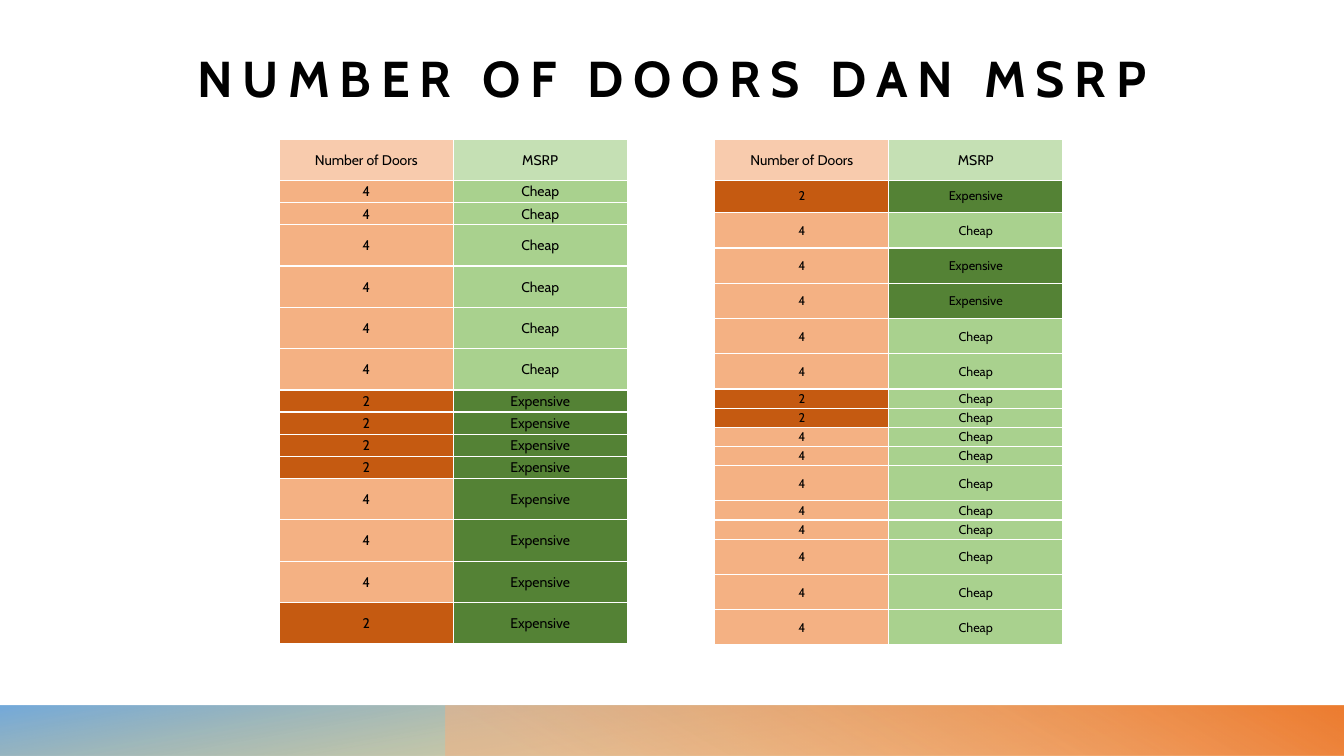
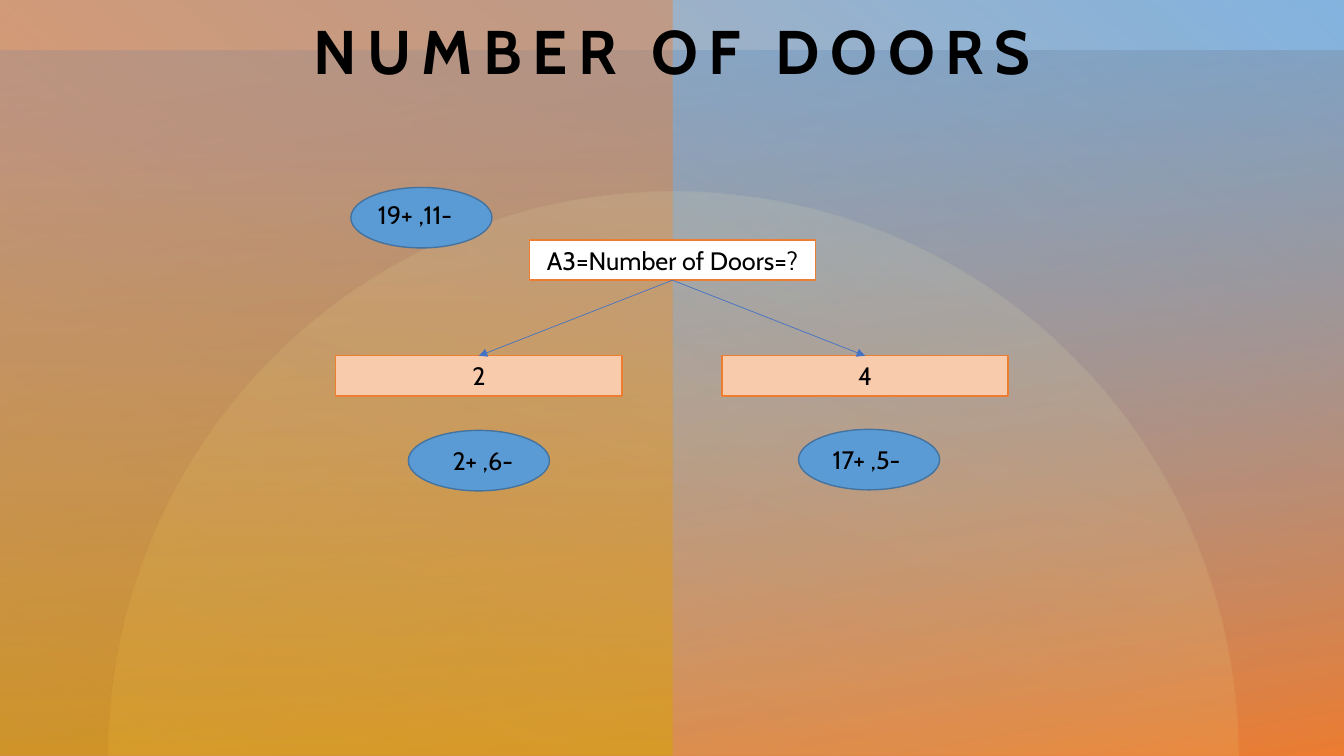
"""Build two slides on the number of doors: data tables and a decision split."""
import math
from lxml import etree
from pptx import Presentation
from pptx import util as u
from pptx.dml import color as dml
from pptx.enum import shapes, text
from pptx.oxml import ns

COLORS = {
    "black": "000000", "white": "FFFFFF", "gold": "CF9B00", "blue": "5B9BD5",
    "peach": "F4B183", "orange": "ED7D31", "pale_orange": "F8CBAD",
    "pale_green": "C5E0B4", "green": "A9D18E", "dark_orange": "C55A11",
    "dark_green": "548235", "yellow": "FFD149", "mint": "E2F0D9",
    "navy": "43739E", "arrow": "4472C4",
}
RGB = {name: dml.RGBColor.from_string(value) for name, value in COLORS.items()}
FONT = {"name": "Cabin", "bold": False}
GROWING = {"word_wrap": True, "vertical_anchor": text.MSO_ANCHOR.TOP,
           "auto_size": text.MSO_AUTO_SIZE.SHAPE_TO_FIT_TEXT}
WIDTH, HEIGHT = 13.33, 7.5


def write(frame, words, size, align=text.PP_ALIGN.CENTER, spacing=0, **font):
    """Put one formatted paragraph into a text frame."""
    paragraph = frame.paragraphs[0]
    paragraph.alignment = align
    run = paragraph.add_run()
    run.text = words
    for key, value in {**FONT, "size": u.Pt(size), **font}.items():
        setattr(run.font, key, value)
    run.font.color.rgb = RGB["black"]
    if spacing:
        run.font.element.set("spc", str(int(spacing * 100))) if hasattr(run.font, "element") else \
            frame.paragraphs[0].runs[0]._r.get_or_add_rPr().set("spc", str(int(spacing * 100)))


def shade(shape, angle, stops, rotation=0, flip=False):
    """Give a shape a translucent two-stop gradient and no outline."""
    shape.shadow.inherit = False
    shape.line.fill.background()
    shape.rotation = rotation
    if flip:
        shape.element.spPr.xfrm.set("flipH", "1")
    shape.fill.gradient()
    shape.fill.gradient_angle = 360 - angle
    for stop, (position, name, opacity) in zip(shape.fill.gradient_stops, stops):
        stop.position = position / 100
        stop.color.rgb = RGB[name]
    tints = list(shape.element.spPr.iter(ns.qn("a:srgbClr")))
    for tint, (position, name, opacity) in zip(tints, stops):
        etree.SubElement(tint, ns.qn("a:alpha"), val=str(opacity * 1000))


presentation = Presentation()
presentation.slide_width = u.Inches(WIDTH)
presentation.slide_height = u.Inches(HEIGHT)
layout = presentation.slide_layouts[5]

titles = [
    ("NUMBER OF DOORS DAN MSRP", (1.07, 0.3, 11.2, 0.77), 36, 7, text.MSO_ANCHOR.BOTTOM),
    ("NUMBER OF DOORS", (1.67, 0.02, 10, 0.95), 44, 7.5, text.MSO_ANCHOR.MIDDLE),
]
slides = []
for words, place, size, spacing, anchor in titles:
    slide = presentation.slides.add_slide(layout)
    title = slide.shapes.title
    title.left, title.top, title.width, title.height = map(u.Inches, place)
    frame = title.text_frame
    margins = dict.fromkeys(("margin_left", "margin_top", "margin_right", "margin_bottom"), 0)
    for key, value in {**margins, "vertical_anchor": anchor, "word_wrap": True}.items():
        setattr(frame, key, value)
    write(frame, words, size, spacing=spacing, bold=True)
    slides.append(slide)
table_slide, tree_slide = slides

bands = [
    (0, WIDTH, 100, [(14, "gold", 28), (100, "blue", 85)], 180),
    (4.42, 8.92, 240, [(9, "peach", 55), (99, "orange", 100)], 0),
]
for index, (left, width, angle, stops, rotation) in enumerate(bands):
    band = table_slide.shapes.add_shape(
        shapes.MSO_SHAPE.RECTANGLE, *map(u.Inches, (left, 7, width, 0.5)))
    shade(band, angle, stops, rotation, flip=True)
    layout.shapes.element.insert(2 + index, band.element)

header = ("Number of Doors", "MSRP", 0.41, 1)
tables = [
    (2.77, 1.38, 10, [
        header, ("4", "Cheap", 0.22, 2), ("4", "Cheap", 0.41, 4),
        ("2", "Expensive", 0.22, 4), ("4", "Expensive", 0.41, 3),
        ("2", "Expensive", 0.41, 1)]),
    (7.09, 1.76, 9, [
        ("2", "Expensive", 0.35, 1), ("4", "Cheap", 0.35, 1),
        ("4", "Expensive", 0.35, 2), ("4", "Cheap", 0.35, 2),
        ("2", "Cheap", 0.19, 2), ("4", "Cheap", 0.19, 2),
        ("4", "Cheap", 0.35, 1), ("4", "Cheap", 0.19, 2),
        ("4", "Cheap", 0.35, 3)]),
    (7.09, 1.38, 10, [header]),
]
cell_fills = {"Number of Doors": "pale_orange", "MSRP": "pale_green", "4": "peach",
              "2": "dark_orange", "Cheap": "green", "Expensive": "dark_green"}
cell_format = {"margin_left": u.Inches(0.01), "margin_right": u.Inches(0.01),
               "margin_top": u.Inches(0.01), "margin_bottom": 0,
               "vertical_anchor": text.MSO_ANCHOR.MIDDLE}
for left, top, size, groups in tables:
    rows = [group[:3] for group in groups for _ in range(group[3])]
    total = sum(row[2] for row in rows)
    table = table_slide.shapes.add_table(
        len(rows), 2, *map(u.Inches, (left, top, 3.45, total))).table
    table.first_row = table.horz_banding = False
    for row, (doors, price, height) in zip(table.rows, rows):
        row.height = u.Inches(height)
        for cell, words in zip(row.cells, (doors, price)):
            for key, value in cell_format.items():
                setattr(cell, key, value)
            cell.fill.solid()
            cell.fill.fore_color.rgb = RGB[cell_fills[words]]
            write(cell.text_frame, words, size)

title = tree_slide.shapes.title
cover = tree_slide.shapes.add_shape(
    shapes.MSO_SHAPE.RECTANGLE, 0, 0, u.Inches(WIDTH), u.Inches(HEIGHT))
cover.shadow.inherit = False
cover.fill.solid()
cover.fill.fore_color.rgb = RGB["white"]
cover.line.fill.background()

washes = [
    ((0, 0, WIDTH, HEIGHT), 230, [(0, "blue", 75), (100, "peach", 100)], True),
    ((0, 0.5, WIDTH, 7), 260, [(0, "blue", 37), (100, "orange", 100)], False),
    ((0, 0, 6.67, HEIGHT), 270, [(19, "orange", 41), (99, "gold", 56)], True),
]
for place, angle, stops, flip in washes:
    wash = tree_slide.shapes.add_shape(shapes.MSO_SHAPE.RECTANGLE, *map(u.Inches, place))
    shade(wash, angle, stops, 180, flip)

center, radius = 6.68, 5.6
arc = [(u.Inches(center - radius * math.cos(math.radians(degree))),
        u.Inches(HEIGHT - radius * math.sin(math.radians(degree))))
       for degree in range(0, 181, 2)]
builder = tree_slide.shapes.build_freeform(*arc[0])
builder.add_line_segments(arc[1:], close=True)
shade(builder.convert_to_shape(), 290, [(7, "yellow", 12), (100, "mint", 15)])
tree_slide.shapes.element.append(title.element)

boxes = []
for words, left, top, fill in [("A3=Number of Doors=?", 5.25, 2.38, "white"),
                               ("2", 3.33, 3.53, "pale_orange"),
                               ("4", 7.16, 3.53, "pale_orange")]:
    box = tree_slide.shapes.add_shape(
        shapes.MSO_SHAPE.RECTANGLE, *map(u.Inches, (left, top, 2.84, 0.4)))
    box.shadow.inherit = False
    box.fill.solid()
    box.fill.fore_color.rgb = RGB[fill]
    box.line.color.rgb = RGB["orange"]
    box.line.width = u.Pt(1)
    for key, value in GROWING.items():
        setattr(box.text_frame, key, value)
    write(box.text_frame, words, 18)
    boxes.append(box)

question, *answers = boxes
for answer in answers:
    arrow = tree_slide.shapes.add_connector(shapes.MSO_CONNECTOR.STRAIGHT, 0, 0, 0, 0)
    arrow.begin_connect(question, 2)
    arrow.end_connect(answer, 0)
    arrow.line.color.rgb = RGB["arrow"]
    arrow.line.width = u.Pt(0.5)
    etree.SubElement(arrow.line._get_or_add_ln(), ns.qn("a:tailEnd"), type="triangle")
    etree.SubElement(arrow.element.spPr, ns.qn("a:effectLst"))

counts = [
    ("19+ ,11-", (3.48, 1.86), (3.65, 1.93, 1.07, 0.4)),
    ("2+ ,6-", (4.05, 4.27), (4.39, 4.37, 0.85, 0.4)),
    ("17+ ,5-", (7.92, 4.26), (8.16, 4.36, 0.92, 0.4)),
]
for words, corner, place in counts:
    bubble = tree_slide.shapes.add_shape(
        shapes.MSO_SHAPE.OVAL, *map(u.Inches, (*corner, 1.4, 0.6)))
    bubble.shadow.inherit = False
    bubble.fill.solid()
    bubble.fill.fore_color.rgb = RGB["blue"]
    bubble.line.color.rgb = RGB["navy"]
    bubble.line.width = u.Pt(1)
    label = tree_slide.shapes.add_textbox(*map(u.Inches, place))
    for key, value in GROWING.items():
        setattr(label.text_frame, key, value)
    write(label.text_frame, words, 18, text.PP_ALIGN.LEFT)

presentation.save("out.pptx")
